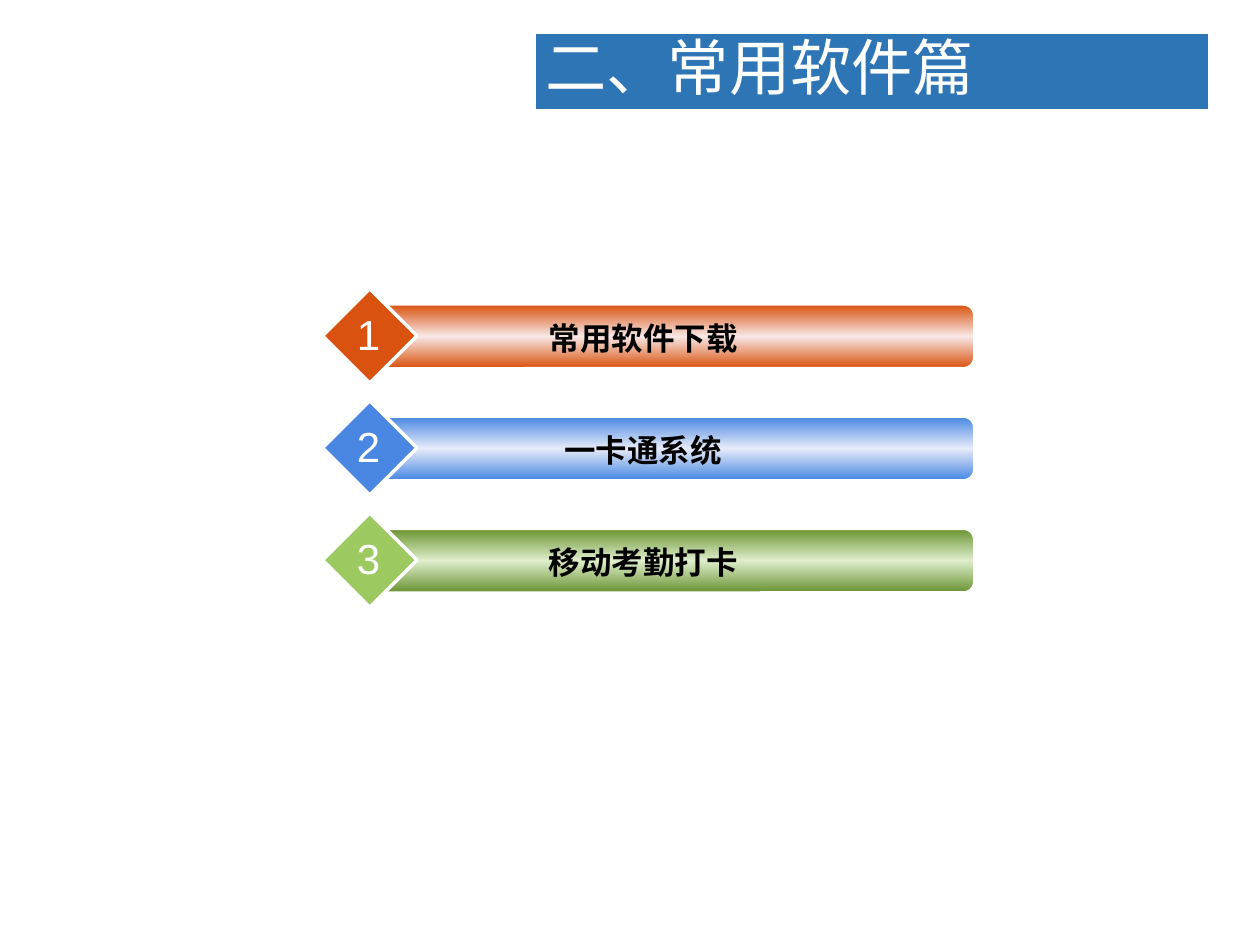
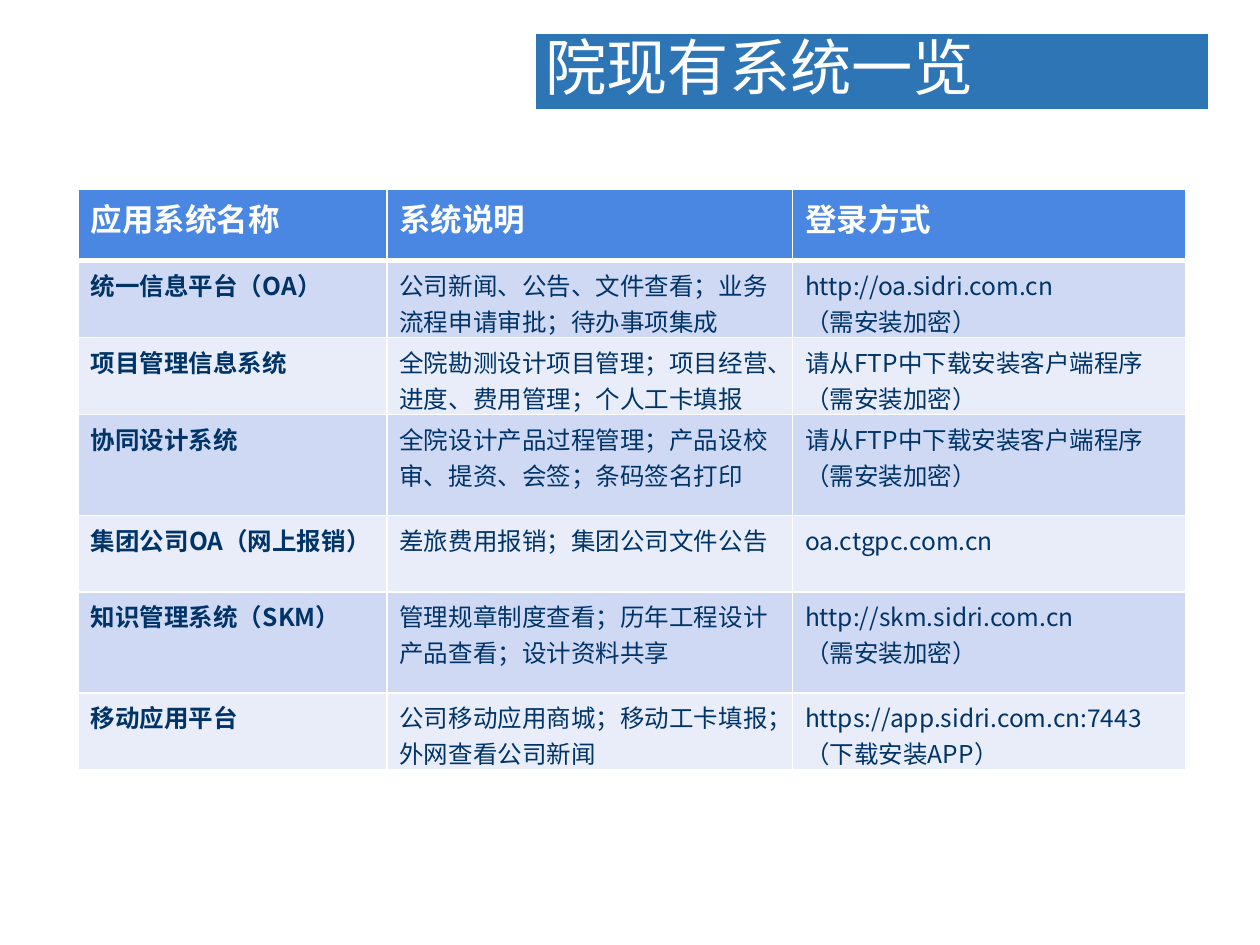
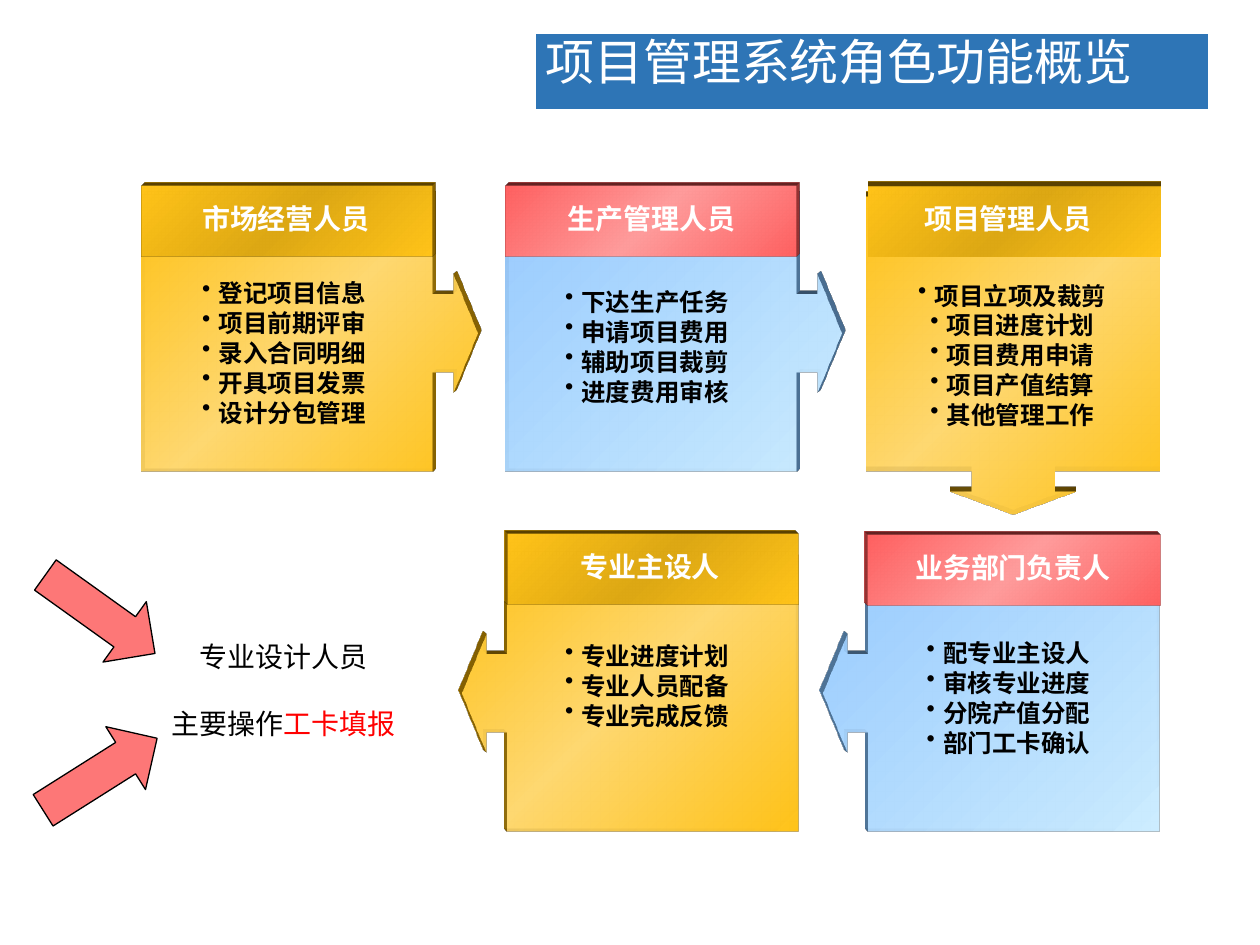
from dataclasses import dataclass

from pptx import Presentation
from pptx.dml.color import RGBColor
from pptx.enum.shapes import MSO_SHAPE
from pptx.enum.text import MSO_ANCHOR, MSO_AUTO_SIZE, PP_ALIGN
from pptx.oxml import parse_xml
from pptx.oxml.ns import nsdecls, qn
from pptx.util import Inches, Pt


@dataclass(frozen=True)
class Theme:
    font: str = "Noto Sans CJK SC"
    note_font: str = "Noto Sans CJK JP"
    number_font: str = "Arial"
    white: str = "FFFFFF"
    black: str = "000000"
    red: str = "FF0000"
    band: str = "2E75B6"
    orange: str = "D9520F"
    orange_light: str = "F8E8E6"
    blue: str = "4987E3"
    blue_light: str = "E7ECF9"
    green: str = "9CC960"
    green_dark: str = "6A9432"
    green_light: str = "DFEECC"
    table_text: str = "003468"
    table_bands: tuple = ("D0D9F4", "E9EDFA")
    arrow: str = "FD7777"
    # Gradient stops: position, colour, opacity (percent)
    gold_body: tuple = ((0, "FFC319", 100), (50, "FFD970", 90), (100, "FFC319", 100))
    gold_head: tuple = ((0, "FFC319", 100), (50, "DDA814", 100), (100, "FFC319", 100))
    blue_body: tuple = ((0, "99CCFF", 90), (100, "CCECFF", 100))
    pink_head: tuple = ((0, "FF6161", 100), (50, "FF9B9B", 100), (100, "FF6161", 100))
    gold_edge: str = "996F00"
    blue_edge: str = "5580AA"
    pink_edge: str = "AA3A3A"
    title_size: float = 35
    long_title_size: float = 28
    number_size: float = 24
    heading_size: float = 18
    role_size: float = 16
    body_size: float = 14


THEME = Theme()

SYSTEMS = [
    ("应用系统名称", "系统说明", "登录方式"),
    ("统一信息平台（OA）", "公司新闻、公告、文件查看；业务流程申请审批；待办事项集成",
     "http://oa.sidri.com.cn\n（需安装加密）"),
    ("项目管理信息系统", "全院勘测设计项目管理；项目经营、进度、费用管理；个人工卡填报",
     "请从FTP中下载安装客户端程序\n（需安装加密）"),
    ("协同设计系统", "全院设计产品过程管理；产品设校审、提资、会签；条码签名打印",
     "请从FTP中下载安装客户端程序\n（需安装加密）"),
    ("集团公司OA（网上报销）", "差旅费用报销；集团公司文件公告", "oa.ctgpc.com.cn"),
    ("知识管理系统（SKM）", "管理规章制度查看；历年工程设计产品查看；设计资料共享",
     "http://skm.sidri.com.cn\n（需安装加密）"),
    ("移动应用平台", "公司移动应用商城；移动工卡填报；外网查看公司新闻",
     "https://app.sidri.com.cn:7443\n（下载安装APP）"),
]

# Role, centre of its name, heading box, callout box, direction, colour, task corner, tasks
ROLES = [
    ("市场经营人员", 2.27, (1.12, 1.48, 2.31, 0.56), (1.12, 1.55, 2.67, 2.19), "right", "gold",
     (1.12, 2.24), ("登记项目信息", "项目前期评审", "录入合同明细", "开具项目发票", "设计分包管理")),
    ("生产管理人员", 5.17, (4.01, 1.48, 2.31, 0.56), (4.01, 1.55, 2.67, 2.19), "right", "blue",
     (4, 2.31), ("下达生产任务", "申请项目费用", "辅助项目裁剪", "进度费用审核")),
    ("项目管理人员", 8, (6.89, 1.48, 2.32, 0.56), (6.78, 1.66, 2.52, 2.32), "down", "gold",
     (6.9, 2.26), ("项目立项及裁剪", "项目进度计划", "项目费用申请", "项目产值结算", "其他管理工作")),
    ("业务部门负责人", 8.04, (6.89, 4.25, 2.32, 0.56), (6.53, 4.41, 2.67, 2.19), "left", "blue",
     (6.87, 5.1), ("配专业主设人", "审核专业进度", "分院产值分配", "部门工卡确认")),
    ("专业主设人", 5.16, (4.03, 4.24, 2.31, 0.56), (3.67, 4.41, 2.67, 2.19), "left", "gold",
     (4, 5.12), ("专业进度计划", "专业人员配备", "专业完成反馈")),
]
CAMERAS = {"right": "legacyObliqueTopRight", "down": "legacyObliqueTop",
           "left": "legacyObliqueTopLeft"}


def add_run(paragraph, text, size, color, bold=False, font=THEME.font):
    run = paragraph.add_run()
    run.text = text
    run.font.size = Pt(size)
    run.font.bold = bold
    run.font.name = font
    run.font.color.rgb = RGBColor.from_string(color)
    properties = run.font._element
    properties.find(qn("a:latin")).addnext(
        parse_xml(f'<a:ea {nsdecls("a")} typeface="{font}"/>'))


def add_panel(slide, kind, box, fill=None, line=None, width=1, adjustments=()):
    """Add a preset shape; fill or line None leaves that part out."""
    shape = slide.shapes.add_shape(kind, *map(Inches, box))
    for index, value in enumerate(adjustments):
        shape.adjustments[index] = value
    if fill:
        shape.fill.solid()
        shape.fill.fore_color.rgb = RGBColor.from_string(fill)
    else:
        shape.fill.background()
    if line:
        shape.line.color.rgb = RGBColor.from_string(line)
        shape.line.width = Pt(width)
    else:
        shape.line.fill.background()
    shape.shadow.inherit = False
    return shape


def set_gradient(shape, stops, angle):
    """Replace the empty fill of a shape by a linear gradient."""
    stop_xml = "".join(
        f'<a:gs pos="{position * 1000}"><a:srgbClr val="{color}">'
        f'<a:alpha val="{opacity * 1000}"/></a:srgbClr></a:gs>'
        for position, color, opacity in stops)
    properties = shape._element.spPr
    properties.replace(properties.find(qn("a:noFill")), parse_xml(
        f'<a:gradFill {nsdecls("a")} rotWithShape="1"><a:gsLst>{stop_xml}</a:gsLst>'
        f'<a:lin ang="{angle * 60000}" scaled="0"/></a:gradFill>'))


def extrude(shape, camera, color):
    properties = shape._element.spPr
    properties.append(parse_xml(
        f'<a:scene3d {nsdecls("a")}><a:camera prst="{camera}"/>'
        '<a:lightRig rig="legacyFlat3" dir="b"/></a:scene3d>'))
    properties.append(parse_xml(
        f'<a:sp3d {nsdecls("a")} extrusionH="74600" prstMaterial="legacyMatte">'
        f'<a:extrusionClr><a:srgbClr val="{color}"/></a:extrusionClr></a:sp3d>'))


def add_text_box(slide, box, wrap=True):
    frame = slide.shapes.add_textbox(*map(Inches, box)).text_frame
    frame.word_wrap = wrap
    frame.auto_size = MSO_AUTO_SIZE.SHAPE_TO_FIT_TEXT
    return frame


def add_label(slide, box, text, size, color, bold=True, wrap=False, font=THEME.font):
    paragraph = add_text_box(slide, box, wrap).paragraphs[0]
    paragraph.alignment = PP_ALIGN.CENTER
    add_run(paragraph, text, size, color, bold, font)


def paragraph_at(frame, index):
    return frame.paragraphs[0] if index == 0 else frame.add_paragraph()


def add_title(slide, text, size=THEME.title_size):
    band = add_panel(slide, MSO_SHAPE.RECTANGLE, (4.23, 0.25, 5.38, 0.64),
                     THEME.band, THEME.white, 3)
    frame = band.text_frame
    frame.vertical_anchor = MSO_ANCHOR.TOP
    paragraph = frame.paragraphs[0]
    paragraph.alignment = PP_ALIGN.LEFT
    paragraph.line_spacing = 0.9
    add_run(paragraph, text, size, THEME.white)


def add_agenda_item(slide, number, text, top, color, edge, middle):
    bar = add_panel(slide, MSO_SHAPE.ROUNDED_RECTANGLE, (2.98, top + 0.13, 4.75, 0.5),
                    line=THEME.white, adjustments=[0.167])
    set_gradient(bar, ((0, edge, 100), (50, middle, 100), (100, edge, 100)), 90)
    add_panel(slide, MSO_SHAPE.DIAMOND, (2.56, top, 0.75, 0.75), color, THEME.white, 2)
    add_label(slide, (3.23, top + 0.19, 3.75, 0.4), text, THEME.heading_size,
              THEME.black, wrap=True)
    add_label(slide, (2.73, top + 0.11, 0.39, 0.5), str(number), THEME.number_size,
              THEME.white, bold=False, font=THEME.number_font)


def set_cell_borders(cell, widths):
    properties = cell._tc.get_or_add_tcPr()
    for index, (side, width) in enumerate(widths.items()):
        properties.insert(index, parse_xml(
            f'<a:{side} {nsdecls("a")} w="{Pt(width)}"><a:solidFill>'
            f'<a:srgbClr val="{THEME.white}"/></a:solidFill></a:{side}>'))


def add_systems_table(slide):
    column_widths = (2.45, 3.22, 3.12)
    row_heights = (0.57, 0.61, 0.61, 0.8, 0.61, 0.8, 0.61)
    table = slide.shapes.add_table(
        len(SYSTEMS), len(column_widths), *map(Inches, (0.62, 1.5, 8.79, 4.6))).table
    for column, width in zip(table.columns, column_widths):
        column.width = Inches(width)
    for row_index, (row, height) in enumerate(zip(table.rows, row_heights)):
        row.height = Inches(height)
        header = row_index == 0
        fill = THEME.blue if header else THEME.table_bands[(row_index - 1) % 2]
        size = THEME.heading_size if header else THEME.body_size
        color = THEME.white if header else THEME.table_text
        borders = {"lnL": 1, "lnR": 1, "lnT": 3 if row_index == 1 else 1,
                   "lnB": 3 if header else 1}
        for column_index, text in enumerate(SYSTEMS[row_index]):
            cell = table.cell(row_index, column_index)
            cell.fill.solid()
            cell.fill.fore_color.rgb = RGBColor.from_string(fill)
            set_cell_borders(cell, borders)
            for index, line in enumerate(text.split("\n")):
                add_run(paragraph_at(cell.text_frame, index), line, size, color,
                        bold=header or column_index == 0)


def add_tasks(slide, left, top, tasks):
    frame = add_text_box(slide, (left, top, 2.27, 0.26 * len(tasks) - 0.02))
    for index, task in enumerate(tasks):
        paragraph = paragraph_at(frame, index)
        properties = paragraph._p.get_or_add_pPr()
        properties.set("marL", str(Inches(0.13)))
        properties.set("indent", str(Inches(-0.13)))
        properties.append(parse_xml(f'<a:buChar {nsdecls("a")} char="•"/>'))
        paragraph.alignment = PP_ALIGN.CENTER
        paragraph.line_spacing = 0.6
        if index:
            paragraph.space_before = Pt(7)
        add_run(paragraph, task, THEME.body_size, THEME.black, bold=True)


def add_role(slide, name, center, head_box, callout_box, direction, color,
             task_corner, tasks):
    if color == "gold":
        body, body_edge = THEME.gold_body, THEME.gold_edge
        head, head_edge = THEME.gold_head, THEME.gold_edge
    else:
        body, body_edge = THEME.blue_body, THEME.blue_edge
        head, head_edge = THEME.pink_head, THEME.pink_edge
    neck = 0.079 if direction == "down" else 0.089
    callout = add_panel(slide, MSO_SHAPE.RIGHT_ARROW_CALLOUT, callout_box,
                        adjustments=(0.284, 0.215, neck, 0.865))
    if direction == "down":
        callout.rotation = 90
    elif direction == "left":
        callout._element.spPr.xfrm.set("flipH", "1")
    heading = add_panel(slide, MSO_SHAPE.RECTANGLE, head_box)
    for shape, stops, edge in ((callout, body, body_edge), (heading, head, head_edge)):
        set_gradient(shape, stops, 45)
        extrude(shape, CAMERAS[direction], edge)
    width = 0.22 * len(name) + 0.22
    add_label(slide, (center - width / 2, head_box[1] + 0.07, width, 0.37),
              name, THEME.role_size, THEME.white)
    add_tasks(slide, *task_corner, tasks)


def add_designer_note(slide):
    frame = add_text_box(slide, (0.98, 5.03, 2.54, 0.91))
    lines = ([("专业设计人员", THEME.black)],
             [("主要操作", THEME.black), ("工卡填报", THEME.red)])
    for index, runs in enumerate(lines):
        paragraph = paragraph_at(frame, index)
        paragraph.alignment = PP_ALIGN.CENTER
        if index:
            paragraph.space_before = Pt(19)
        for text, color in runs:
            add_run(paragraph, text, THEME.role_size, color, font=THEME.note_font)
    for top, angle in ((4.58, 35.6), (5.85, 327.7)):
        arrow = add_panel(slide, MSO_SHAPE.RIGHT_ARROW, (0.26, top, 1.07, 0.59),
                          THEME.arrow, THEME.black, 0.75)
        arrow.rotation = angle


def main():
    presentation = Presentation()
    presentation.slide_width = Inches(10)
    presentation.slide_height = Inches(7.5)
    agenda, systems, roles = (
        presentation.slides.add_slide(presentation.slide_layouts[6]) for _ in range(3))

    add_title(agenda, "二、常用软件篇")
    items = (("常用软件下载", THEME.orange, THEME.orange, THEME.orange_light),
             ("一卡通系统", THEME.blue, THEME.blue, THEME.blue_light),
             ("移动考勤打卡", THEME.green, THEME.green_dark, THEME.green_light))
    for index, (text, *colors) in enumerate(items):
        add_agenda_item(agenda, index + 1, text, 2.29 + 0.89 * index, *colors)

    add_title(systems, "院现有系统一览")
    add_systems_table(systems)

    add_title(roles, "项目管理系统角色功能概览", THEME.long_title_size)
    for role in ROLES:
        add_role(roles, *role)
    add_designer_note(roles)

    presentation.save("out.pptx")


if __name__ == "__main__":
    main()
